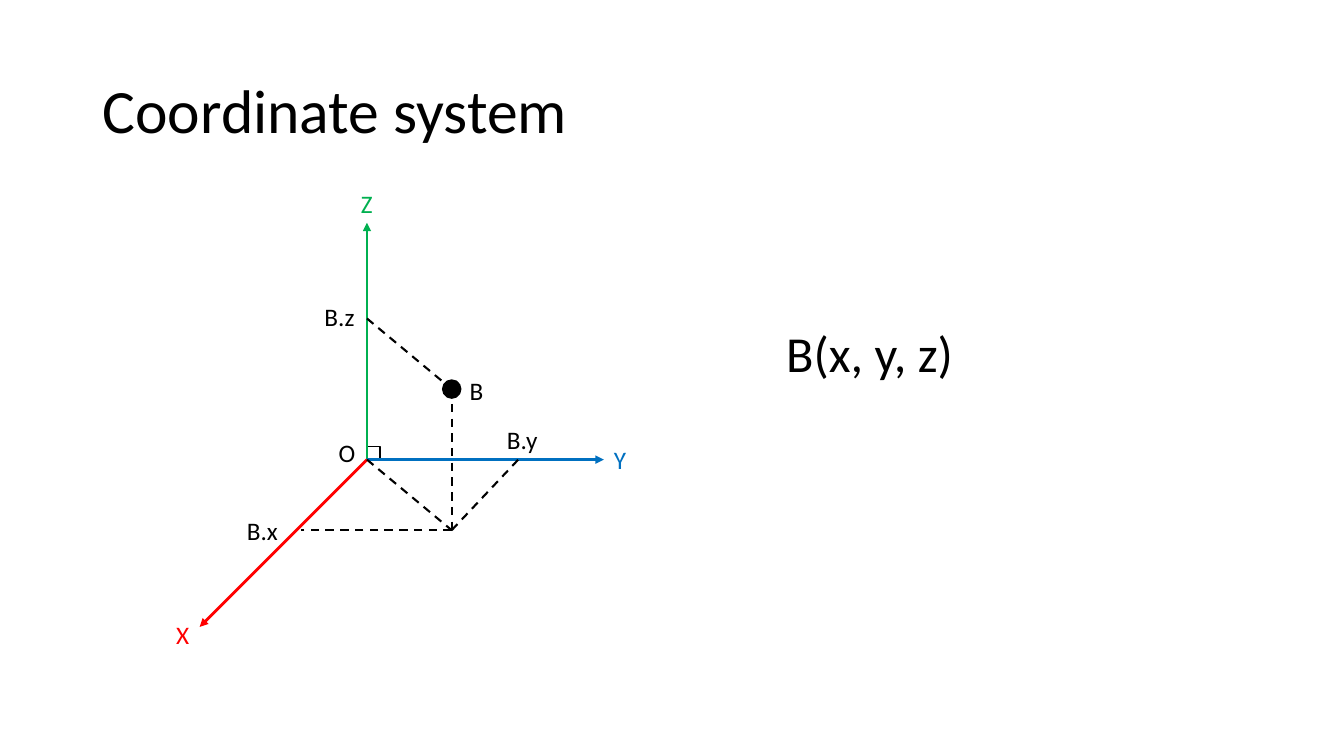
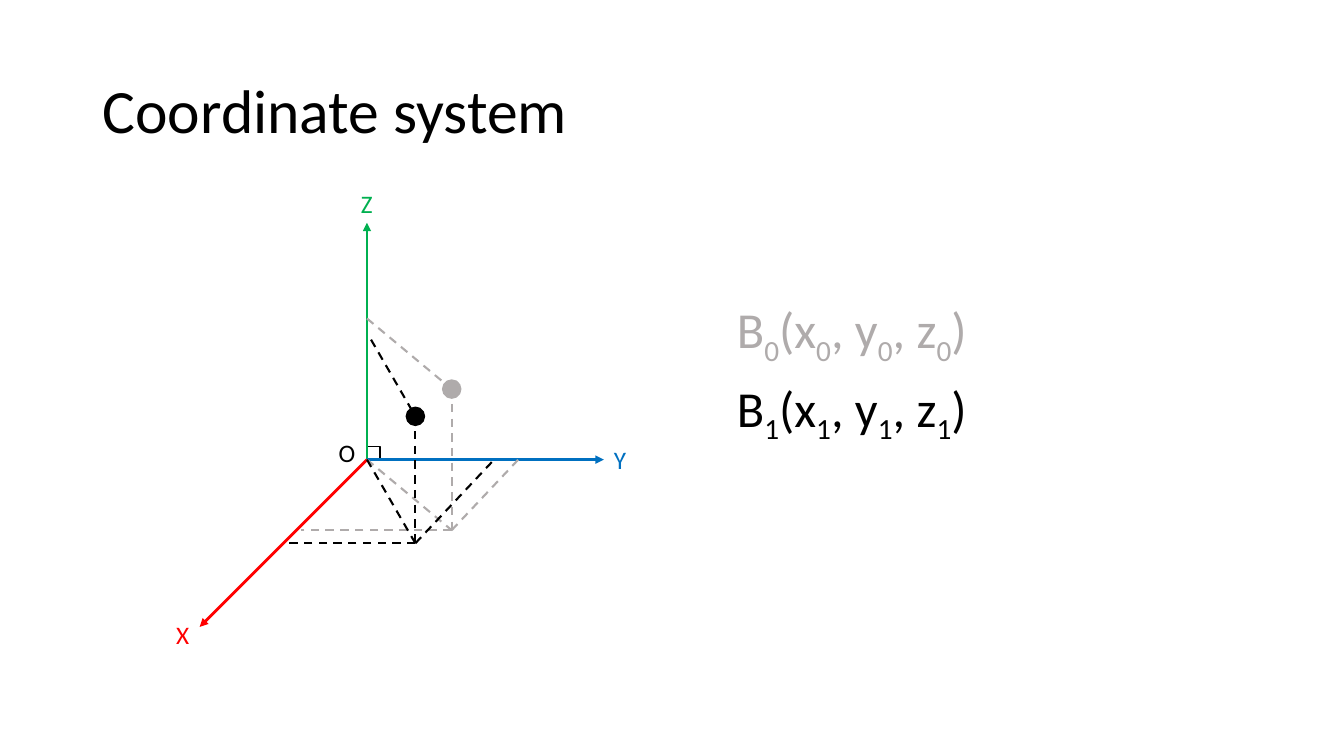
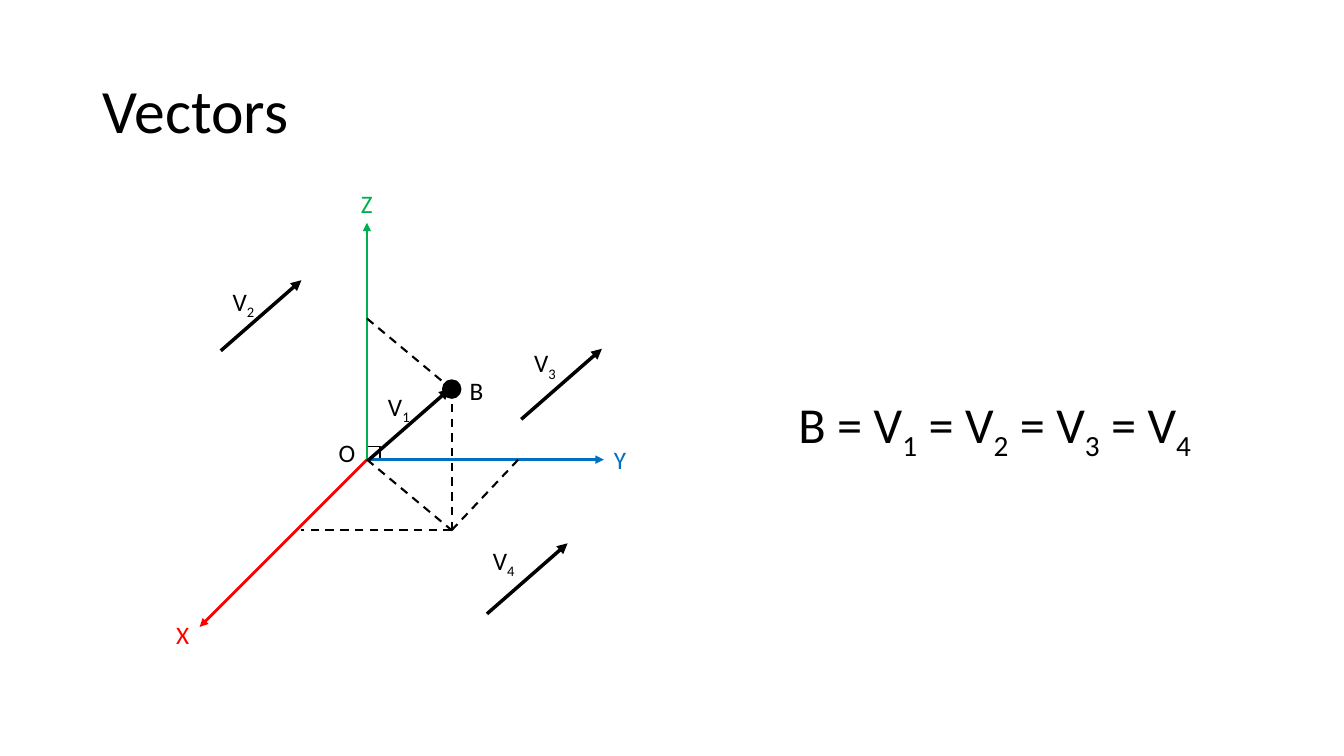
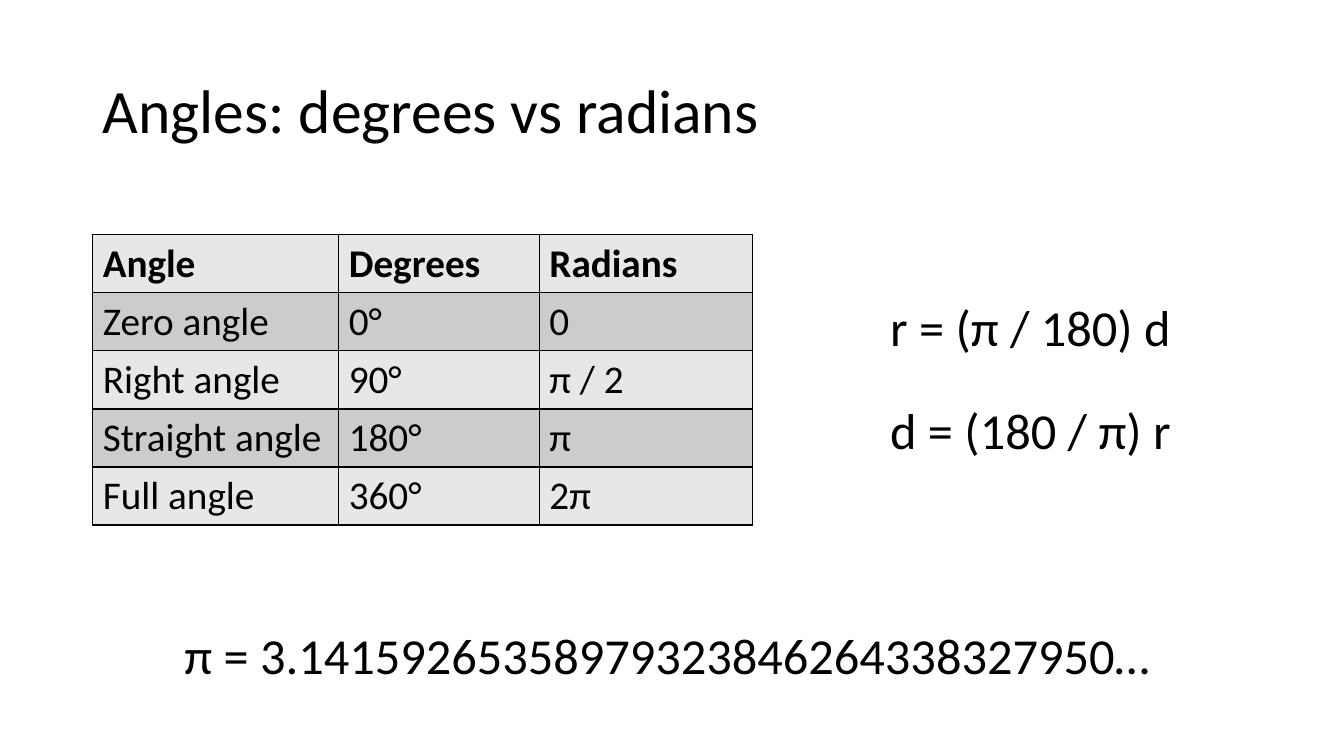
import pptx
import pptx.dml.color
import pptx.enum.dml
import pptx.enum.shapes
import pptx.enum.text
import pptx.oxml
import pptx.oxml.ns
import pptx.util

SIZE = (13.33, 7.5)
FONT = "Calibri"
BLACK, GREY, RED, GREEN, BLUE = "000000", "AFABAB", "FF0000", "00B050", "0070C0"
BANDS = ("E7E7E7", "CCCCCC")
TITLE_SIZE, FORMULA_SIZE, TABLE_SIZE, LABEL_SIZE = 44, 36, 28, 18
TITLE_BOX = (0.92, 0.4, 11.5, 1.45)
LABEL_HEIGHT, FORMULA_HEIGHT = 0.4, 0.71
BALL, CORNER = 0.18, 0.13

# Axes: end point and colour
ORIGIN = (3.64, 4.56)
AXES = [((3.64, 2.21), GREEN), ((5.99, 4.56), BLUE), ((1.98, 6.22), RED)]

# Labels and formulas: text, left, top, width, colour; "_" lowers the next character
AXIS_LABELS = [
    ("O", 3.26, 4.29, 0.37, BLACK),
    ("X", 1.65, 6.09, 0.33, RED),
    ("Y", 5.99, 4.36, 0.33, BLUE),
    ("Z", 3.48, 1.82, 0.32, GREEN),
]
BALL_LABEL = ("B", 4.56, 3.67, 0.34, BLACK)
COORDINATE_LABELS = [
    ("B.x", 2.35, 5.06, 0.51, BLACK),
    ("B.y", 4.93, 4.16, 0.51, BLACK),
    ("B.z", 3.12, 2.94, 0.5, BLACK),
]
VECTOR_LABELS = [
    ("V_1", 3.75, 3.83, 0.43, BLACK),
    ("V_2", 2.21, 2.79, 0.43, BLACK),
    ("V_3", 5.2, 3.4, 0.43, BLACK),
    ("V_4", 4.79, 5.36, 0.43, BLACK),
]
POINT_FORMULA = ("B(x, y, z)", 7.7, 3.15, 2.57, BLACK)
MOVE_FORMULAS = [
    ("B_0(x_0, y_0, z_0)", 7.21, 2.91, 2.65, GREY),
    ("B_1(x_1, y_1, z_1)", 7.21, 3.69, 2.65, BLACK),
]
VECTOR_FORMULA = ("B = V_1 = V_2 = V_3 = V_4", 7.82, 3.85, 4.25, BLACK)
ANGLE_FORMULAS = [
    ("r = (π / 180) d", 8.73, 2.89, 3.01, BLACK),
    ("d = (180 / π) r", 8.73, 3.91, 3.01, BLACK),
    ("π = 3.14159265358979323846264338327950…", 1.73, 6.14, 9.88, BLACK),
]

# Points: the ball, its foot on the floor, and where it meets each axis
FIRST_POINT = {"ball": (4.48, 3.86), "foot": (4.48, 5.26),
               "x": (2.99, 5.26), "y": (5.14, 4.56), "z": (3.64, 3.16)}
SECOND_POINT = {"ball": (4.12, 4.13), "foot": (4.12, 5.39),
                "x": (2.81, 5.39), "y": (4.92, 4.54), "z": (3.68, 3.37)}

# Equal vectors: shared step and the four starts
VECTOR_STEP = (0.8, -0.7)
VECTOR_STARTS = [(3.66, 4.56), (2.19, 3.48), (5.17, 4.16), (4.83, 6.09)]

ANGLE_ROWS = [
    ("Angle", "Degrees", "Radians"),
    ("Zero angle", "0°", "0"),
    ("Right angle", "90°", "π / 2"),
    ("Straight angle", "180°", "π"),
    ("Full angle", "360°", "2π"),
]
ANGLE_COLUMNS = (2.44, 1.99, 2.11)
ANGLE_CORNER, ANGLE_ROW_HEIGHT = (0.92, 2.33), 0.57


def inches(*lengths):
    """Turn numbers into slide lengths."""
    return [pptx.util.Inches(length) for length in lengths]


def rgb(value):
    """Turn a hex string into a colour."""
    return pptx.dml.color.RGBColor.from_string(value)


def add_xml(parent, tag, inner=""):
    """Append a drawing element, given its tag with attributes."""
    name = tag.split()[0]
    space = pptx.oxml.ns.nsdecls("a")
    parent.append(pptx.oxml.parse_xml(f"<a:{tag} {space}>{inner}</a:{name}>"))


def write(para, text, size, colour=BLACK, bold=False):
    """Fill a paragraph run by run, lowering each character after "_"."""
    first, *rest = text.split("_")
    pieces = [(first, False)]
    for part in rest:
        pieces += [(part[0], True), (part[1:], False)]
    for piece, lowered in pieces:
        if not piece:
            continue
        span = para.add_run()
        span.text = piece
        span.font.name = FONT
        span.font.size = pptx.util.Pt(size)
        span.font.bold = bold
        span.font.color.rgb = rgb(colour)
        if lowered:
            span.font._element.set("baseline", "-25000")


def add_text(page, place, text, size, colour=BLACK, wrap=False):
    """Add a one-paragraph text box and return its frame."""
    frame = page.shapes.add_textbox(*inches(*place)).text_frame
    frame.word_wrap = wrap
    frame.auto_size = pptx.enum.text.MSO_AUTO_SIZE.SHAPE_TO_FIT_TEXT
    write(frame.paragraphs[0], text, size, colour)
    return frame


def add_labels(page, labels):
    """Add the small names in a diagram."""
    for text, left, top, width, colour in labels:
        add_text(page, (left, top, width, LABEL_HEIGHT), text, LABEL_SIZE, colour)


def add_formulas(page, formulas, wrap=True):
    """Add the large formulas."""
    for text, left, top, width, colour in formulas:
        place = (left, top, width, FORMULA_HEIGHT)
        add_text(page, place, text, FORMULA_SIZE, colour, wrap)


def add_page(deck, title):
    """Add a blank slide with its title."""
    page = deck.slides.add_slide(deck.slide_layouts[6])
    frame = add_text(page, TITLE_BOX, title, TITLE_SIZE, wrap=True)
    frame.auto_size = pptx.enum.text.MSO_AUTO_SIZE.NONE
    frame.vertical_anchor = pptx.enum.text.MSO_ANCHOR.MIDDLE
    frame.paragraphs[0].line_spacing = 0.9
    return page


def add_line(page, start, end, colour, width, dashed=False, arrow=False):
    """Draw a straight line, dashed or with an arrowhead on request."""
    line = page.shapes.add_connector(
        pptx.enum.shapes.MSO_CONNECTOR.STRAIGHT, *inches(*start, *end))
    line.line.color.rgb = rgb(colour)
    line.line.width = pptx.util.Pt(width)
    if dashed:
        line.line.dash_style = pptx.enum.dml.MSO_LINE.DASH
    if arrow:
        add_xml(line.line._get_or_add_ln(), 'tailEnd type="triangle"')
    add_xml(line._element.spPr, "effectLst")


def add_mark(page, kind, place, fill=None, outline=BLACK):
    """Draw a small preset shape."""
    mark = page.shapes.add_shape(kind, *inches(*place))
    mark.shadow.inherit = False
    if fill:
        mark.fill.solid()
        mark.fill.fore_color.rgb = rgb(fill)
    else:
        mark.fill.background()
    mark.line.color.rgb = rgb(outline)
    mark.line.width = pptx.util.Pt(1)


def add_axes(page):
    """Draw the three axes, the right-angle corner and their names."""
    left, bottom = ORIGIN
    add_mark(page, pptx.enum.shapes.MSO_SHAPE.RECTANGLE,
             (left, bottom - CORNER, CORNER, CORNER))
    for end, colour in AXES:
        add_line(page, ORIGIN, end, colour, 2, arrow=True)
    add_labels(page, AXIS_LABELS)


def add_guides(page, point, colour=BLACK):
    """Draw the dashed lines that tie a point to the axes."""
    foot = point["foot"]
    for start, end in [(point["ball"], foot), (foot, point["x"]), (foot, point["y"]),
                       (point["z"], point["ball"]), (ORIGIN, foot)]:
        add_line(page, start, end, colour, 1.5, dashed=True)


def add_ball(page, point, colour=BLACK):
    """Draw the dot centred on a point."""
    x, y = point["ball"]
    add_mark(page, pptx.enum.shapes.MSO_SHAPE.OVAL,
             (x - BALL / 2, y - BALL / 2, BALL, BALL), colour, colour)


def add_angle_table(page):
    """Add the banded table of angles with thin borders."""
    size = (sum(ANGLE_COLUMNS), ANGLE_ROW_HEIGHT * len(ANGLE_ROWS))
    table = page.shapes.add_table(len(ANGLE_ROWS), len(ANGLE_COLUMNS),
                                  *inches(*ANGLE_CORNER, *size)).table
    table.horz_banding = False
    for column, width in zip(table.columns, ANGLE_COLUMNS):
        column.width = pptx.util.Inches(width)
    border = f'<a:solidFill><a:srgbClr val="{BLACK}"/></a:solidFill>'
    for row, texts in enumerate(ANGLE_ROWS):
        for column, text in enumerate(texts):
            cell = table.cell(row, column)
            for side in "LRTB":
                add_xml(cell._tc.get_or_add_tcPr(), f'ln{side} w="12700"', border)
            cell.fill.solid()
            cell.fill.fore_color.rgb = rgb(BANDS[row % 2])
            write(cell.text_frame.paragraphs[0], text, TABLE_SIZE, bold=row == 0)


def build_point(deck):
    """One point and its coordinates."""
    page = add_page(deck, "Coordinate system")
    add_axes(page)
    add_guides(page, FIRST_POINT)
    add_ball(page, FIRST_POINT)
    add_labels(page, [BALL_LABEL] + COORDINATE_LABELS)
    add_formulas(page, [POINT_FORMULA])


def build_move(deck):
    """The point before and after a move."""
    page = add_page(deck, "Coordinate system")
    add_axes(page)
    for point, colour in [(FIRST_POINT, GREY), (SECOND_POINT, BLACK)]:
        add_guides(page, point, colour)
        add_ball(page, point, colour)
    add_formulas(page, MOVE_FORMULAS)


def build_vectors(deck):
    """Four equal vectors."""
    page = add_page(deck, "Vectors")
    add_axes(page)
    add_guides(page, FIRST_POINT)
    for x, y in VECTOR_STARTS:
        end = (x + VECTOR_STEP[0], y + VECTOR_STEP[1])
        add_line(page, (x, y), end, BLACK, 2.5, arrow=True)
    add_ball(page, FIRST_POINT)
    add_labels(page, VECTOR_LABELS + [BALL_LABEL])
    add_formulas(page, [VECTOR_FORMULA])


def build_angles(deck):
    """Degrees against radians."""
    page = add_page(deck, "Angles: degrees vs radians")
    add_angle_table(page)
    add_formulas(page, ANGLE_FORMULAS, wrap=False)


deck = pptx.Presentation()
deck.slide_width, deck.slide_height = inches(*SIZE)
for build in (build_point, build_move, build_vectors, build_angles):
    build(deck)
deck.save("out.pptx")
